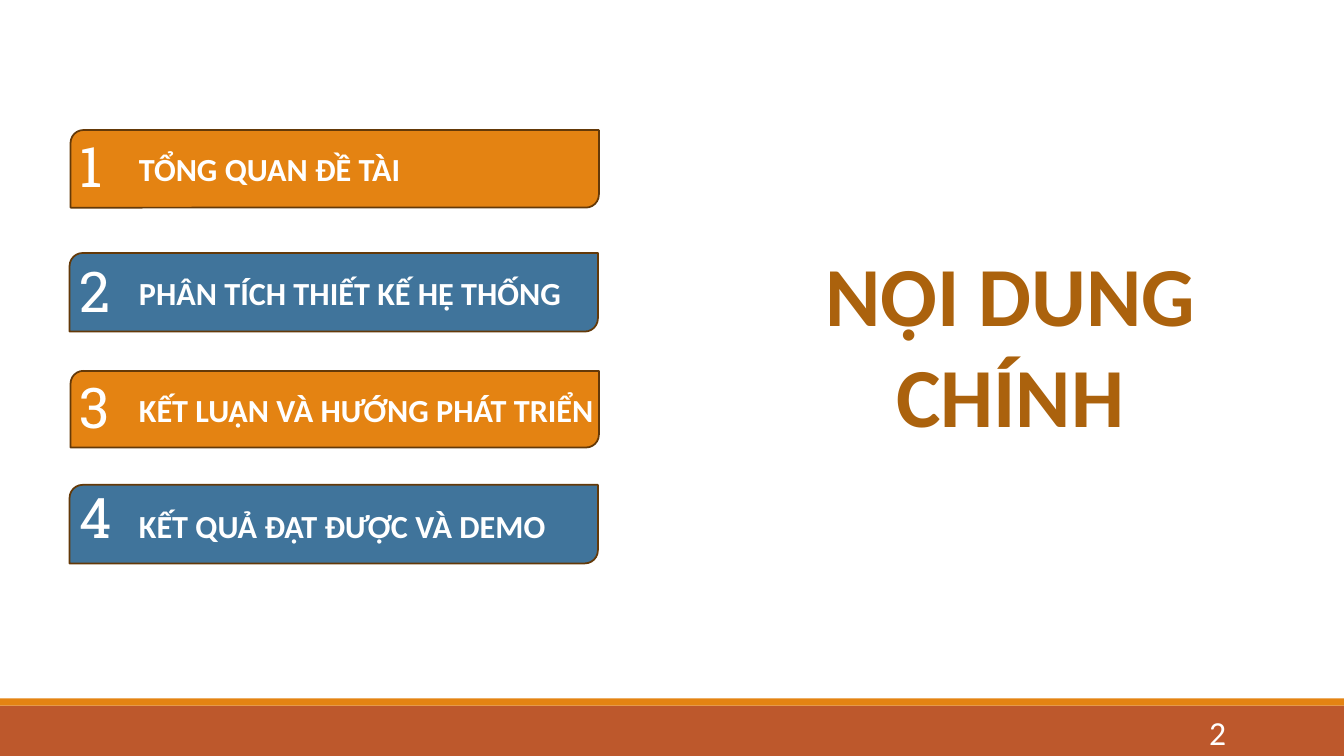
from dataclasses import dataclass

import pptx
import pptx.dml.color
import pptx.enum.shapes
import pptx.enum.text
import pptx.util

COLORS = {
    "orange": "E48312",
    "blue": "40749B",
    "rust": "BD582C",
    "outline": "643908",
    "title": "AB620D",
    "white": "FFFFFF",
}
SHAPE = pptx.enum.shapes.MSO_SHAPE
ALIGN = pptx.enum.text.PP_ALIGN
ANCHOR = pptx.enum.text.MSO_ANCHOR
Inches = pptx.util.Inches


@dataclass
class Box:
    left: float
    top: float
    width: float
    height: float

    def lengths(self) -> list[int]:
        return [Inches(v) for v in (self.left, self.top, self.width, self.height)]


@dataclass
class Style:
    size: int
    color: str = "white"
    bold: bool = False
    font: str = "Calibri"
    align: ALIGN = ALIGN.LEFT
    anchor: ANCHOR = ANCHOR.TOP


@dataclass
class Topic:
    text: str
    color: str
    bar: Box
    number_top: float
    label_top: float


NUMBER = Style(40, font="Roboto Slab")
LABEL = Style(23, bold=True)
TITLE = Style(60, "title", bold=True, align=ALIGN.CENTER)
PAGE = Style(24, align=ALIGN.RIGHT, anchor=ANCHOR.MIDDLE)

TOPICS = [
    Topic("TỔNG QUAN ĐỀ TÀI", "orange", Box(0.7, 1.29, 5.24, 0.77), 1.26, 1.43),
    Topic("PHÂN TÍCH THIẾT KẾ HỆ THỐNG", "blue", Box(0.69, 2.51, 5.24, 0.78), 2.5, 2.66),
    Topic("KẾT LUẬN VÀ HƯỚNG PHÁT TRIỂN", "orange", Box(0.7, 3.68, 5.24, 0.76), 3.65, 3.82),
    Topic("KẾT QUẢ ĐẠT ĐƯỢC VÀ DEMO", "blue", Box(0.69, 4.81, 5.24, 0.78), 4.74, 4.97),
]


def rgb(name: str) -> pptx.dml.color.RGBColor:
    return pptx.dml.color.RGBColor.from_string(COLORS[name])


def add_block(s: pptx.slide.Slide, box: Box, fill: str,
              kind: SHAPE = SHAPE.RECTANGLE, outline: str = "") -> None:
    sp = s.shapes.add_shape(kind, *box.lengths())
    sp.shadow.inherit = False
    sp.fill.solid()
    sp.fill.fore_color.rgb = rgb(fill)
    if outline:
        sp.line.color.rgb = rgb(outline)
        sp.line.width = pptx.util.Pt(1.25)
    else:
        sp.line.fill.background()


def add_text(s: pptx.slide.Slide, box: Box, text: str, style: Style) -> None:
    tf = s.shapes.add_textbox(*box.lengths()).text_frame
    tf.word_wrap = True
    tf.vertical_anchor = style.anchor
    p = tf.paragraphs[0]
    p.text = text
    p.alignment = style.align
    p.font.name = style.font
    p.font.size = pptx.util.Pt(style.size)
    p.font.bold = style.bold
    p.font.color.rgb = rgb(style.color)


def add_topic(s: pptx.slide.Slide, number: int, topic: Topic) -> None:
    add_block(s, topic.bar, topic.color, SHAPE.ROUND_2_DIAG_RECTANGLE, "outline")
    add_text(s, Box(0.69, topic.number_top, 0.34, 0.77), str(number), NUMBER)
    add_text(s, Box(1.28, topic.label_top, 4.9, 0.49), topic.text, LABEL)


def main() -> None:
    prs = pptx.Presentation()
    prs.slide_width, prs.slide_height = Inches(13.33), Inches(7.5)
    s = prs.slides.add_slide(prs.slide_layouts[6])
    add_block(s, Box(0, 7, 13.33, 0.5), "rust")
    add_block(s, Box(0, 6.93, 13.33, 0.07), "orange")
    for number, topic in enumerate(TOPICS, 1):
        add_topic(s, number, topic)
    add_text(s, Box(7.89, 2.36, 4.26, 2.12), "NỘI DUNG CHÍNH", TITLE)
    add_text(s, Box(10.83, 7.06, 1.43, 0.4), "2", PAGE)
    prs.save("out.pptx")


if __name__ == "__main__":
    main()
